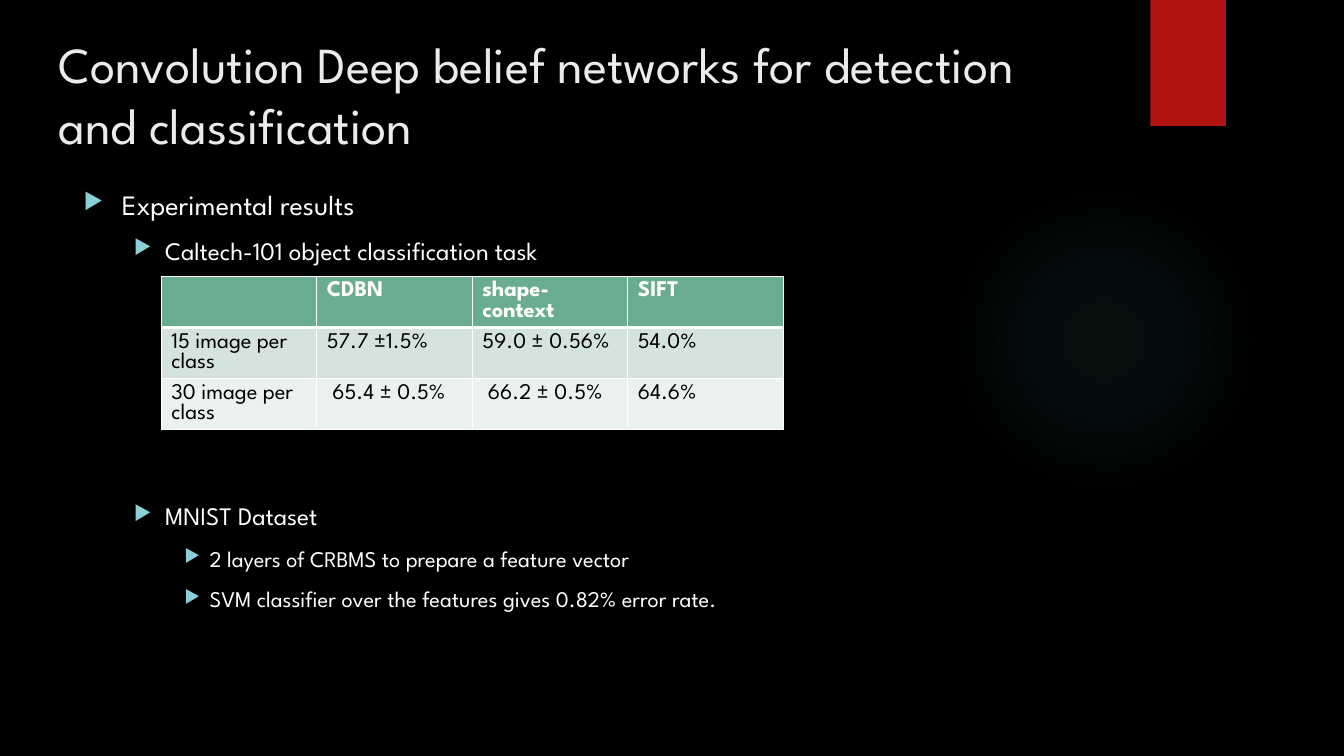
from dataclasses import dataclass
from lxml import etree
from pptx import Presentation
from pptx import util as u
from pptx.dml.color import RGBColor
from pptx.enum import shapes, text
from pptx.oxml import parse_xml
from pptx.oxml.ns import qn

NS = 'xmlns:a="http://schemas.openxmlformats.org/drawingml/2006/main"'


@dataclass(frozen=True)
class Theme:
    """Colours, font and type sizes of the slide."""
    font: str = "League Spartan"
    back: str = "000000"
    title: str = "EBEBEB"
    body: str = "FFFFFF"
    bullet: str = "8AD0D6"
    glow: str = "50B9C1"
    ribbon: str = "B01513"
    header: str = "6AAC90"
    bands: tuple = ("D4E3DB", "EBF1EE")
    title_size: int = 36
    level_sizes: tuple = (20, 18, 16)
    table_size: int = 16
    indents: tuple = ((0.38, 0.38), (0.81, 0.31), (1.25, 0.25))


class SlideBuilder:
    """Draws styled elements on the current slide."""

    def __init__(self, prs, theme):
        """Add a title-only slide with a plain background."""
        self.theme = theme
        self.s = prs.slides.add_slide(prs.slide_layouts[5])
        self.paint(self.s.background.fill, theme.back)

    def paint(self, fill, color):
        """Fill with one colour."""
        fill.solid()
        fill.fore_color.rgb = RGBColor.from_string(color)

    def add_words(self, p, words, size, color, bold=False):
        """Add a formatted run to a paragraph."""
        r = p.add_run()
        r.text = words
        for name, value in {"name": self.theme.font, "size": u.Pt(size), "bold": bold}.items():
            setattr(r.font, name, value)
        r.font.color.rgb = RGBColor.from_string(color)

    def frame(self, tf):
        """Set wrapping, anchor and sizing of a text frame."""
        fmt = {"word_wrap": True, "vertical_anchor": text.MSO_ANCHOR.TOP,
               "auto_size": text.MSO_AUTO_SIZE.NONE}
        for name, value in fmt.items():
            setattr(tf, name, value)

    def shape(self, kind, box, color):
        """Add a preset shape without line or shadow."""
        sp = self.s.shapes.add_shape(kind, *map(u.Inches, box))
        sp.shadow.inherit = False
        sp.line.fill.background()
        self.paint(sp.fill, color)
        return sp

    def glow(self, box, stops):
        """Add a circle whose colour fades outwards."""
        sp = self.shape(shapes.MSO_SHAPE.OVAL, box, self.theme.glow)
        marks = "".join(
            f'<a:gs pos="{pos * 1000}"><a:srgbClr val="{self.theme.glow}">'
            f'<a:alpha val="{alpha * 1000}"/></a:srgbClr></a:gs>' for pos, alpha in stops)
        solid = sp._element.spPr.find(qn("a:solidFill"))
        solid.getparent().replace(solid, parse_xml(
            f'<a:gradFill {NS}><a:gsLst>{marks}</a:gsLst><a:path path="circle">'
            '<a:fillToRect l="50000" t="50000" r="50000" b="50000"/></a:path></a:gradFill>'))

    def title(self, box, words):
        """Place and format the title placeholder."""
        sp = self.s.shapes.title
        for name, value in zip(("left", "top", "width", "height"), box):
            setattr(sp, name, u.Inches(value))
        self.frame(sp.text_frame)
        p = sp.text_frame.paragraphs[0]
        p.alignment = text.PP_ALIGN.LEFT
        self.add_words(p, words, self.theme.title_size, self.theme.title)

    def bullets(self, box, items):
        """Add a bulleted outline of (level, space before, words)."""
        tf = self.s.shapes.add_textbox(*map(u.Inches, box)).text_frame
        self.frame(tf)
        for i, (level, before, words) in enumerate(items):
            p = tf.paragraphs[0] if i == 0 else tf.add_paragraph()
            p.level, p.space_before = level, u.Pt(before)
            pPr = p._p.get_or_add_pPr()
            left, hang = self.theme.indents[level]
            pPr.set("marL", str(u.Inches(left)))
            pPr.set("indent", str(-u.Inches(hang)))
            color = etree.SubElement(pPr, qn("a:buClr"))
            etree.SubElement(color, qn("a:srgbClr"), val=self.theme.bullet)
            etree.SubElement(pPr, qn("a:buSzPct"), val="80000")
            etree.SubElement(pPr, qn("a:buChar"), char="▶")
            self.add_words(p, words, self.theme.level_sizes[level], self.theme.body)

    def borders(self, cell, widths):
        """Draw the cell edges in the given point widths."""
        tcPr = cell._tc.get_or_add_tcPr()
        for edge, width in widths.items():
            tcPr.append(parse_xml(
                f'<a:ln{edge} {NS} w="{u.Pt(width)}"><a:solidFill>'
                f'<a:srgbClr val="{self.theme.body}"/></a:solidFill></a:ln{edge}>'))

    def table(self, box, rows):
        """Add a table with a header row and banded body."""
        t = self.theme
        tb = self.s.shapes.add_table(len(rows), len(rows[0]), *map(u.Inches, box)).table
        for i, row in enumerate(rows):
            head = i == 0
            fill = t.header if head else t.bands[(i - 1) % 2]
            for j, words in enumerate(row):
                cell = tb.cell(i, j)
                self.borders(cell, {"L": 1, "R": 1, "T": 3 if i == 1 else 1, "B": 3 if head else 1})
                self.paint(cell.fill, fill)
                self.add_words(cell.text_frame.paragraphs[0], words, t.table_size,
                               t.body if head else t.back, head)


def main():
    """Build and save the slide."""
    prs = Presentation()
    prs.slide_width, prs.slide_height = u.Inches(13.33), u.Inches(7.5)
    b = SlideBuilder(prs, Theme())
    b.glow((9.41, 1.83, 3.08, 3.08), [(0, 7), (36, 6), (69, 0)])
    b.shape(shapes.MSO_SHAPE.RECTANGLE, (11.41, 0, 0.75, 1.25), b.theme.ribbon)
    b.title((0.48, 0.28, 10.29, 1.53),
            "Convolution Deep belief networks for detection and classification")
    b.bullets((0.73, 1.81, 9.78, 4.59), [
        (0, 10, "Experimental results"),
        (1, 10, "Caltech-101 object classification task"),
        (1, 168, "MNIST Dataset"),
        (2, 10, "2 layers of CRBMS to prepare a feature vector"),
        (2, 10, "SVM classifier over the features gives 0.82% error rate."),
    ])
    b.table((1.6, 2.74, 6.17, 1.25), [
        ("", "CDBN", "shape-context", "SIFT"),
        ("15 image per class", "57.7 ±1.5%", "59.0 ± 0.56%", "54.0%"),
        ("30 image per class", " 65.4 ± 0.5%", " 66.2 ± 0.5%", "64.6%"),
    ])
    prs.save("out.pptx")


if __name__ == "__main__":
    main()
